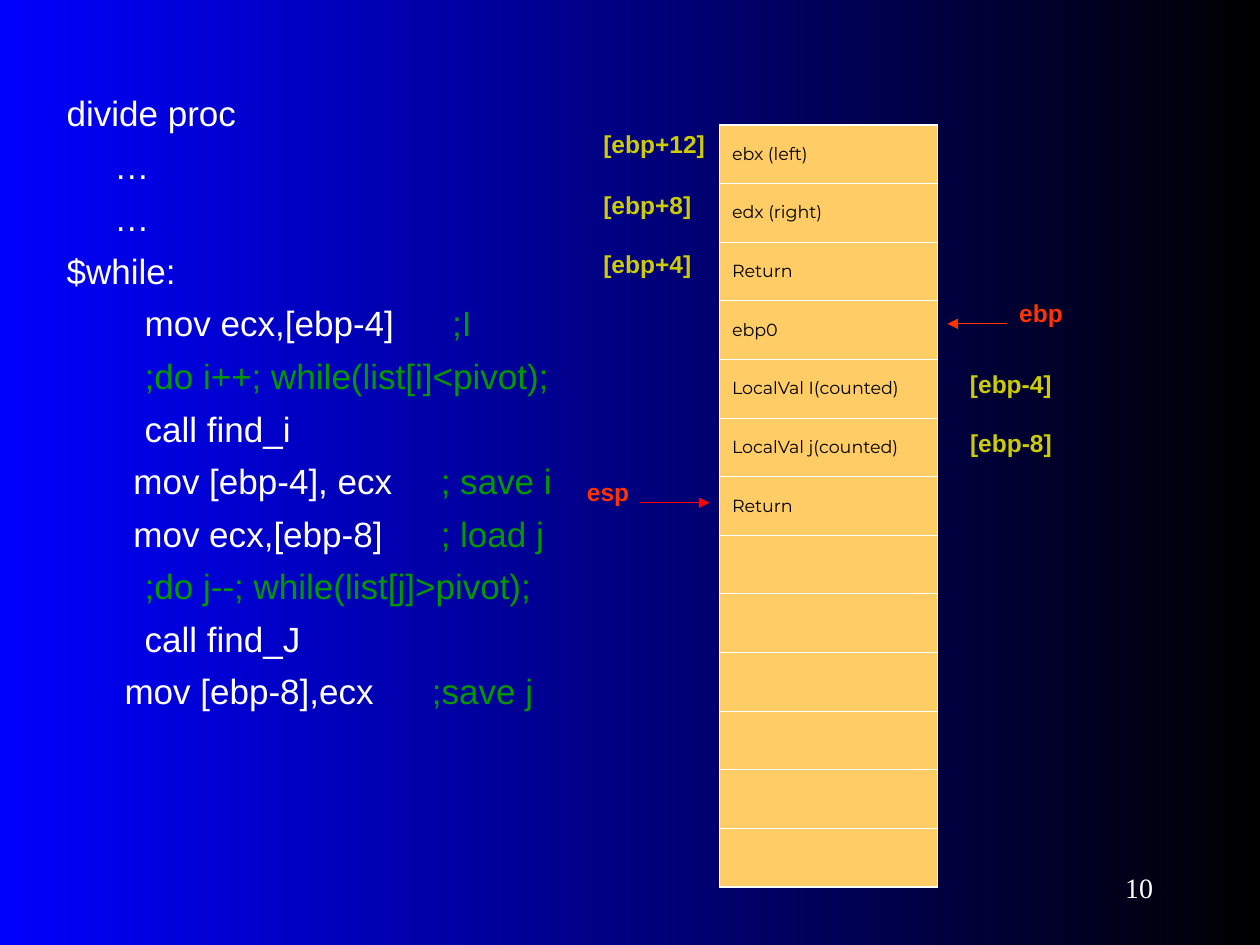
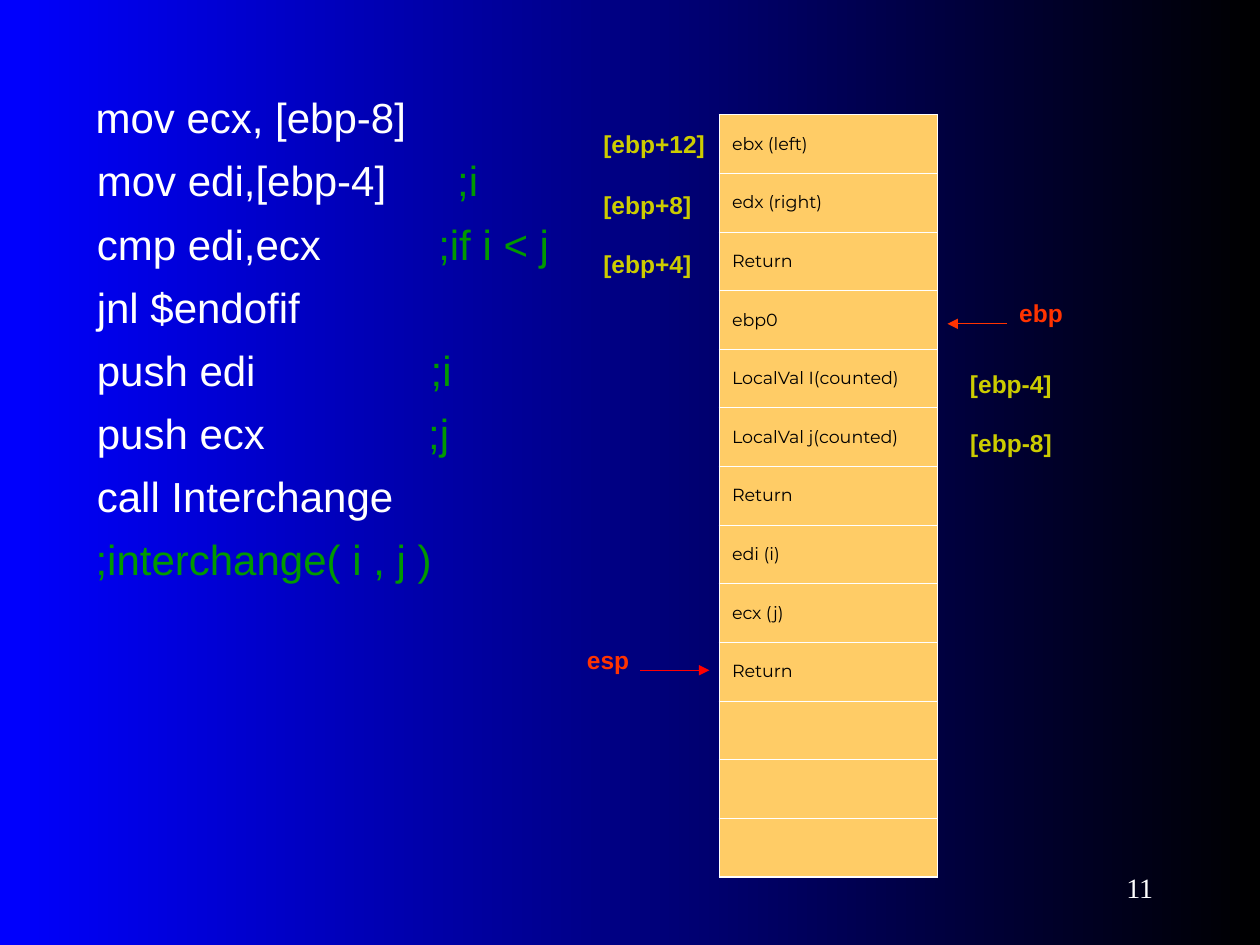
from lxml.etree import SubElement
from pptx import Presentation
from pptx.dml.color import RGBColor
from pptx.enum.shapes import MSO_CONNECTOR
from pptx.enum.text import MSO_ANCHOR, PP_ALIGN
from pptx.oxml.ns import qn
from pptx.util import Inches, Pt

WHITE, BLACK, BLUE = "FFFFFF", "000000", "0000FF"
COMMENT, CELL = "009900", "FFCC66"
OFFSET, POINTER, ESP_ARROW = "CCCC00", "FF3300", "FF0000"
ROWS = 13

FRAME = ["ebx (left)", "edx (right)", "Return", "ebp0",
         "LocalVal I(counted)", "LocalVal j(counted)", "Return"]

# Code lines: instruction, its indent, comment, its tab position (inches)
SLIDES = [
    dict(number="10", code_left=0.43, code_width=4.48, size=20, gap=6,
         stack_top=0.99, stack=FRAME, esp_y=3.99,
         code=[("divide proc", 0, "", 0),
               ("…", 0.38, "", 0),
               ("…", 0.38, "", 0),
               ("$while:", 0, "", 0),
               ("mov ecx,[ebp-4]", 0.62, ";I", 3.06),
               ("", 0, ";do i++; while(list[i]<pivot);", 0.62),
               ("call find_i", 0.62, "", 0),
               ("mov [ebp-4], ecx", 0.53, "; save i", 2.97),
               ("mov ecx,[ebp-8]", 0.53, "; load j", 2.97),
               ("", 0, ";do j--; while(list[j]>pivot);", 0.62),
               ("call find_J", 0.62, "", 0),
               ("mov [ebp-8],ecx", 0.46, ";save j", 2.9)]),
    dict(number="11", code_left=0.2, code_width=4.72, size=24, gap=7.25,
         stack_top=0.91, stack=FRAME + ["edi (i)", "ecx (j)", "Return"], esp_y=5.32,
         code=[("mov ecx, [ebp-8]", 0.46, "", 0),
               ("mov edi,[ebp-4]", 0.47, ";i", 3.33),
               ("cmp edi,ecx", 0.47, ";if i < j", 3.18),
               ("jnl $endofif", 0.47, "", 0),
               ("push edi", 0.47, ";i", 3.12),
               ("push ecx", 0.47, ";j", 3.1),
               ("call Interchange", 0.47, "", 0),
               ("", 0, ";interchange( i , j )", 0.46)]),
]


def rgb(color):
    return RGBColor.from_string(color)


def style(r, size, font, color, bold=False):
    """Format one run."""
    r.font.size, r.font.name, r.font.bold = Pt(size), font, bold
    r.font.color.rgb = rgb(color)


prs = Presentation()
prs.slide_width, prs.slide_height = Inches(10), Inches(7.5)

for page in SLIDES:
    s = prs.slides.add_slide(prs.slide_layouts[6])
    bg = s.background.fill
    bg.gradient()
    bg.gradient_angle = 180
    for stop, position, color in zip(bg.gradient_stops, (0, 1), (BLACK, BLUE)):
        stop.position, stop.color.rgb = position, rgb(color)

    # Code listing
    sp = s.shapes.add_textbox(Inches(page["code_left"]), Inches(0.68),
                              Inches(page["code_width"]), Inches(6.3))
    tf = sp.text_frame
    tf.word_wrap = True
    for i, (instruction, indent, comment, comment_tab) in enumerate(page["code"]):
        p = tf.add_paragraph() if i else tf.paragraphs[0]
        tabs = [x for x in (indent, comment_tab) if x]
        if tabs:
            tab_list = SubElement(p._p.get_or_add_pPr(), qn("a:tabLst"))
            for x in tabs:
                SubElement(tab_list, qn("a:tab"), pos=str(Inches(x)), algn="l")
        if i:
            p.space_before = Pt(page["gap"])
        for text, x, color in ((instruction, indent, WHITE), (comment, comment_tab, COMMENT)):
            if text:
                r = p.add_run()
                r.text = "\t" + text if x else text
                style(r, page["size"], "Arial", color)

    # Stack
    table = s.shapes.add_table(ROWS, 1, Inches(5.71), Inches(page["stack_top"]),
                               Inches(1.73), Inches(6.05)).table
    table.first_row = table.horz_banding = False
    for i in range(ROWS):
        cell = table.cell(i, 0)
        tcPr = cell._tc.get_or_add_tcPr()
        borders = {"L": 1.08, "R": 1.08, "T": 0.45 if i else 1.08,
                   "B": 0.45 if i < ROWS - 1 else 1.08}
        for side, width in borders.items():
            ln = SubElement(tcPr, qn("a:ln" + side), w=str(Pt(width)))
            SubElement(SubElement(ln, qn("a:solidFill")), qn("a:srgbClr"), val=WHITE)
        cell.fill.solid()
        cell.fill.fore_color.rgb = rgb(CELL)
        cell.vertical_anchor = MSO_ANCHOR.MIDDLE
        if i < len(page["stack"]):
            cell.text_frame.text = page["stack"][i]
            style(cell.text_frame.paragraphs[0].runs[0], 10, "Montserrat", BLACK)

    # Register arrows
    esp_y = page["esp_y"]
    for x1, x2, y, color in ((5.08, 5.63, esp_y, ESP_ARROW), (7.99, 7.52, 2.57, POINTER)):
        arrow = s.shapes.add_connector(MSO_CONNECTOR.STRAIGHT, Inches(x1), Inches(y),
                                       Inches(x2), Inches(y))
        arrow.line.color.rgb = rgb(color)
        arrow.line.width = Pt(0.75)
        SubElement(arrow.line._get_or_add_ln(), qn("a:tailEnd"), type="triangle")
        SubElement(arrow._element.spPr, qn("a:effectLst"))

    # Register and offset labels
    for text, x, y, width, color in (("esp", 4.56, esp_y - 0.32, 0.68, POINTER),
                                     ("ebp", 7.99, 2.25, 0.68, POINTER),
                                     ("[ebp+4]", 4.69, 1.86, 1.09, OFFSET),
                                     ("[ebp+8]", 4.69, 1.39, 0.94, OFFSET),
                                     ("[ebp+12]", 4.69, 0.91, 1.32, OFFSET),
                                     ("[ebp-4]", 7.6, 2.81, 0.94, OFFSET),
                                     ("[ebp-8]", 7.6, 3.28, 1.18, OFFSET)):
        sp = s.shapes.add_textbox(Inches(x), Inches(y), Inches(width), Inches(0.53))
        tf = sp.text_frame
        tf.word_wrap = True
        tf.margin_top = tf.margin_bottom = Inches(0.15)
        tf.text = text
        style(tf.paragraphs[0].runs[0], 14, "Arial", color, bold=True)

    # Page number
    sp = s.shapes.add_textbox(Inches(8.17), Inches(6.83), Inches(1.08), Inches(0.42))
    tf = sp.text_frame
    tf.word_wrap = True
    tf.vertical_anchor = MSO_ANCHOR.MIDDLE
    tf.text = page["number"]
    tf.paragraphs[0].alignment = PP_ALIGN.RIGHT
    style(tf.paragraphs[0].runs[0], 16, "Times New Roman", WHITE)

prs.save("out.pptx")
